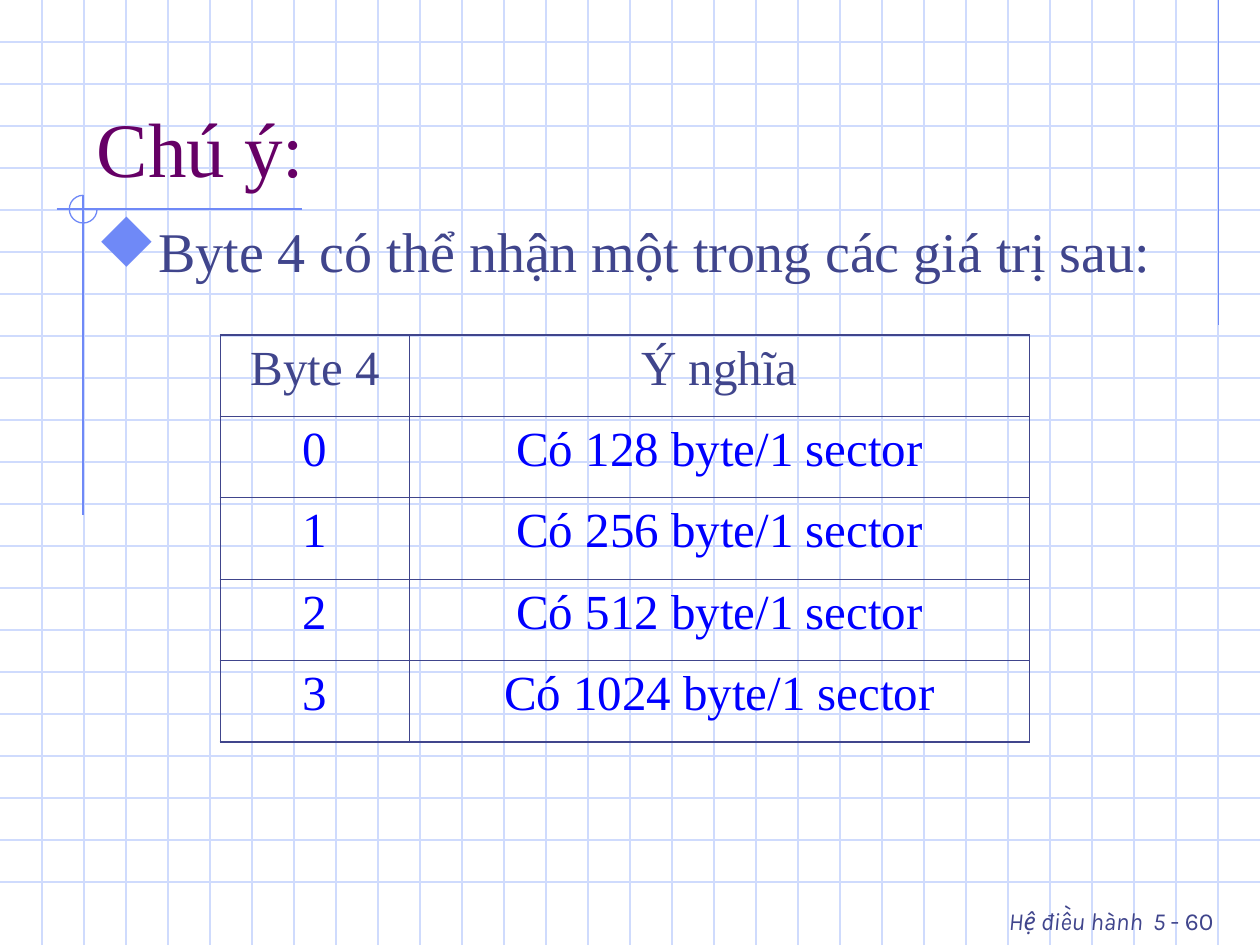
from lxml import etree
from pptx import Presentation
from pptx.dml.color import RGBColor
from pptx.enum import shapes, text
from pptx.oxml.ns import qn
from pptx.util import Inches, Pt

GRID = RGBColor(0xCF, 0xDB, 0xFD)
SKY = RGBColor(0x6F, 0x89, 0xF7)
NAVY = RGBColor(0x40, 0x45, 0x8C)
BLUE = RGBColor(0x00, 0x00, 0xFF)
PLUM = RGBColor(0x66, 0x00, 0x66)
SERIF = "Times New Roman"
WIDTH, HEIGHT = 10, 7.5
ROWS = [("Byte 4", "Ý nghĩa")] + [
    (str(code), f"Có {128 * 2 ** code} byte/1 sector") for code in range(4)
]


def style(font, size, color, face=SERIF):
    """Set size, colour and typeface of a font."""
    font.size, font.name = Pt(size), face
    font.color.rgb = color


def rule(slide, x1, y1, x2, y2, color):
    """Draw a thin straight line between two points."""
    line = slide.shapes.add_connector(
        shapes.MSO_CONNECTOR.STRAIGHT, *map(Inches, (x1, y1, x2, y2)))
    line.line.color.rgb = color
    line.line.width = Pt(0.75)
    etree.SubElement(line._element.spPr, qn("a:effectLst"))


def grid(slide, x, y, w, h):
    """Fill the box with squares a third of an inch wide."""
    for i in range(1, round(h * 3)):
        rule(slide, x, y + i / 3, x + w, y + i / 3, GRID)
    for i in range(1, round(w * 3)):
        rule(slide, x + i / 3, y, x + i / 3, y + h, GRID)


def accent(slide, x, y, w, h):
    """Draw the crossed lines and the open circle where they meet."""
    mid, radius = x + 0.21, 0.11
    rule(slide, x, y + radius, x + w, y + radius, SKY)
    rule(slide, mid, y, mid, y + h, SKY)
    arc = slide.shapes.add_shape(
        shapes.MSO_SHAPE.ARC, Inches(mid - radius), Inches(y),
        Inches(2 * radius), Inches(2 * radius))
    arc.adjustments[0], arc.adjustments[1] = 0, 162
    arc.shadow.inherit = False
    arc.fill.background()
    arc.line.color.rgb = SKY
    arc.line.width = Pt(0.75)


def label(slide, x, y, w, h):
    """Add a wrapped text box and return its frame."""
    frame = slide.shapes.add_textbox(*map(Inches, (x, y, w, h))).text_frame
    frame.word_wrap = True
    return frame


def title(slide, x, y, w, h):
    """Place the heading at the foot of the box."""
    frame = label(slide, x, y, w, h)
    frame.vertical_anchor = text.MSO_ANCHOR.BOTTOM
    frame.text = "Chú ý:"
    style(frame.paragraphs[0].font, 44, PLUM)


def body(slide, x, y, w, h):
    """Place the sentence with its diamond bullet."""
    frame = label(slide, x, y, w, h)
    frame.text = "Byte 4 có thể nhận một trong các giá trị sau:"
    para = frame.paragraphs[0]
    para.space_before = Pt(8)
    style(para.font, 32, NAVY)
    props = para._p.get_or_add_pPr()
    props.set("marL", str(Inches(0.48)))
    props.set("indent", str(Inches(-0.48)))
    tint = etree.Element(qn("a:buClr"))
    etree.SubElement(tint, qn("a:srgbClr"), val=str(SKY))
    size = etree.Element(qn("a:buSzPct"), val="110000")
    face = etree.Element(qn("a:buFont"), typeface="Wingdings", charset="2")
    mark = etree.Element(qn("a:buChar"), char="u")
    for node in (tint, size, face, mark):
        props.find(qn("a:defRPr")).addprevious(node)


def border(cell, edges):
    """Draw the four borders, heavier on the outer edges."""
    props = cell._tc.get_or_add_tcPr()
    for side in "LRTB":
        width = Pt(1.08 if side in edges else 0.45)
        line = etree.SubElement(props, qn("a:ln" + side), w=str(width))
        fill = etree.SubElement(line, qn("a:solidFill"))
        etree.SubElement(fill, qn("a:srgbClr"), val=str(NAVY))


def table(slide, x, y, w, h):
    """Place the table of byte values and their meaning."""
    grid = slide.shapes.add_table(
        len(ROWS), 2, *map(Inches, (x, y, w, h))).table
    grid.first_row = grid.horz_banding = False
    grid.columns[0].width = Inches(1.5)
    grid.columns[1].width = Inches(w - 1.5)
    for r, row in enumerate(ROWS):
        for c, words in enumerate(row):
            cell = grid.cell(r, c)
            cell.text = words
            para = cell.text_frame.paragraphs[0]
            para.alignment = text.PP_ALIGN.CENTER
            para.space_before = Pt(7)
            style(para.font, 28, BLUE if r else NAVY)
            top = "T" if r == 0 else ""
            base = "B" if r == len(ROWS) - 1 else ""
            border(cell, "LR"[c] + top + base)
            cell.fill.background()


def footer(slide, x, y, w, h):
    """Place the course name and page number at the right."""
    para = label(slide, x, y, w, h).paragraphs[0]
    para.alignment = text.PP_ALIGN.RIGHT
    style(para.font, 14, NAVY, "Karla")
    parts = [("Hệ điều hành", 14, True), (" ", 24, False),
             ("5 ", 14, True), ("- 60", 14, False)]
    for words, size, slant in parts:
        run = para.add_run()
        run.text = words
        run.font.size, run.font.italic = Pt(size), slant


def main():
    """Build the slide and save it."""
    deck = Presentation()
    deck.slide_width, deck.slide_height = Inches(WIDTH), Inches(HEIGHT)
    slide = deck.slides.add_slide(deck.slide_layouts[6])
    grid(slide, 0, 0, WIDTH, HEIGHT)
    rule(slide, 9.67, 0, 9.67, 2.58, SKY)
    accent(slide, 0.45, 1.55, 1.95, 2.54)
    footer(slide, 6.83, 7, 2.9, 0.5)
    title(slide, 0.67, 0.33, 8.5, 1.25)
    body(slide, 0.67, 1.67, 8.75, 0.83)
    table(slide, 1.75, 2.66, 6.42, 3.23)
    deck.save("out.pptx")


if __name__ == "__main__":
    main()
